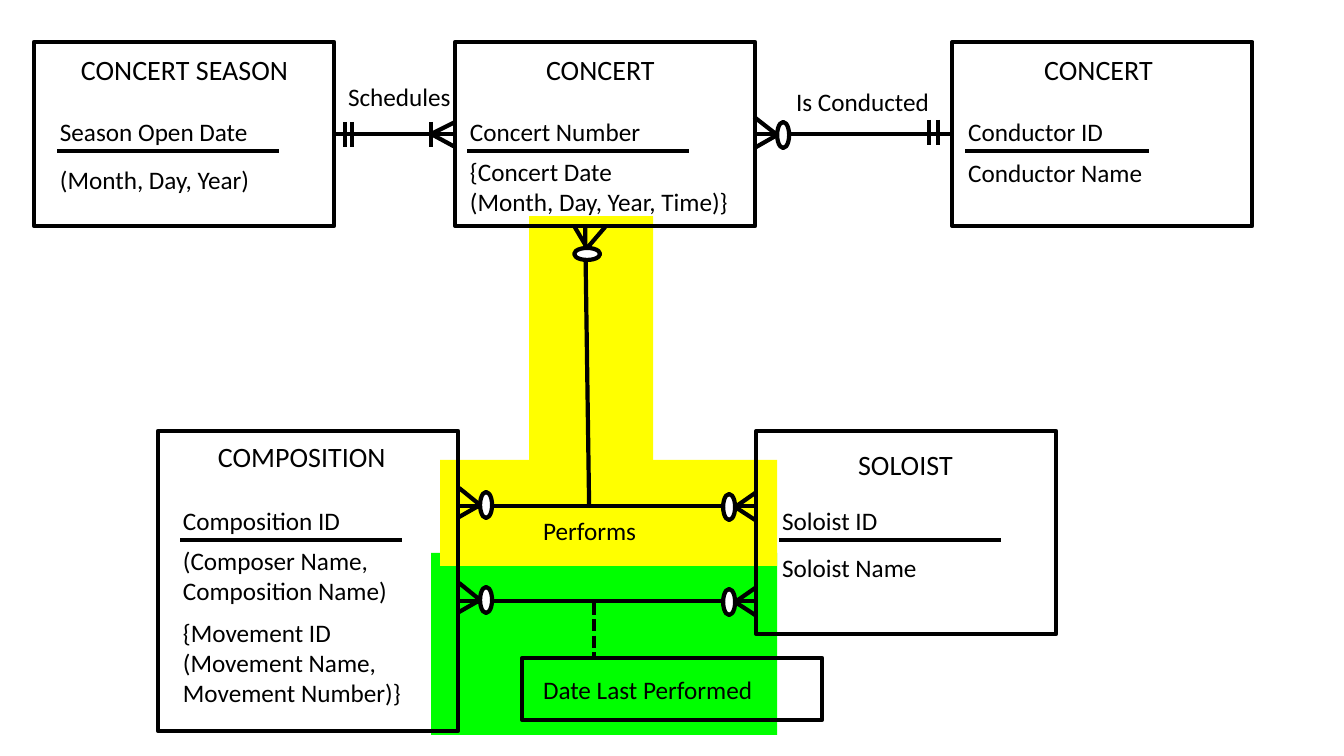
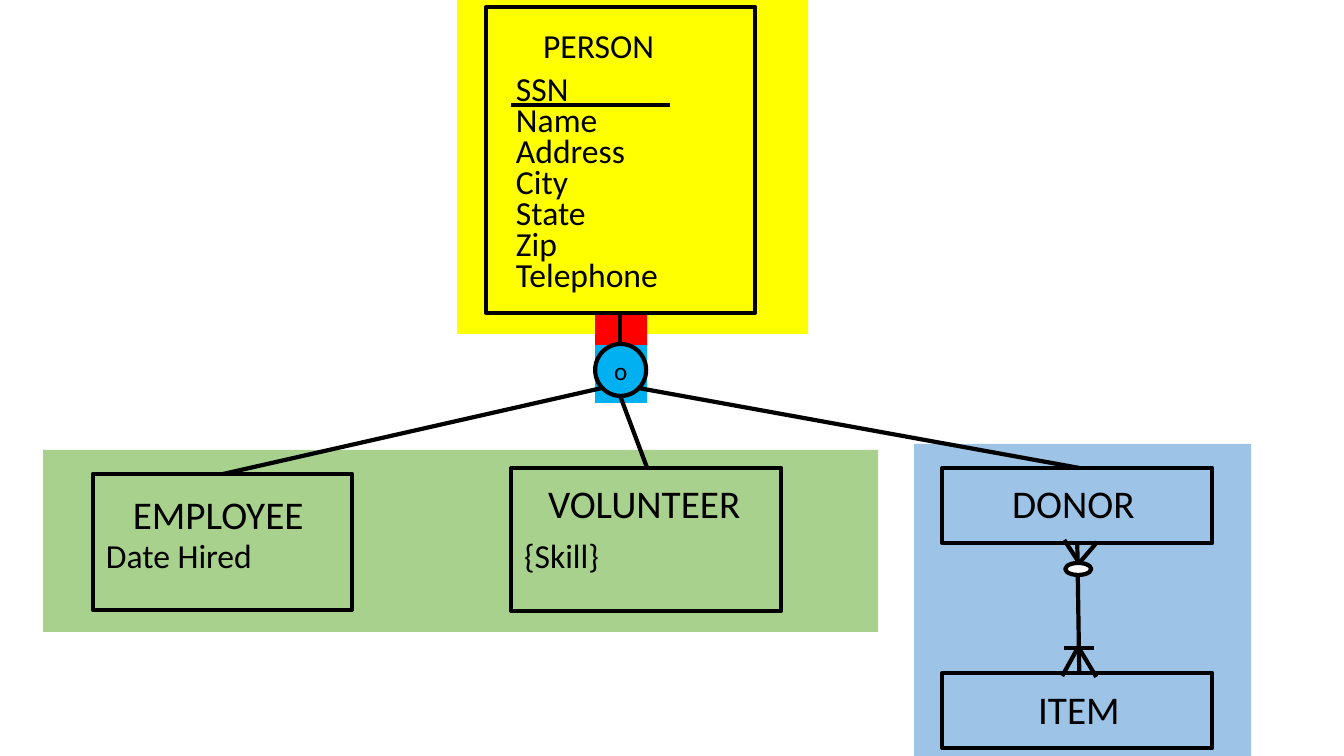
from lxml.etree import SubElement
from pptx import Presentation
from pptx.dml.color import RGBColor
from pptx.enum.dml import MSO_LINE
from pptx.enum.shapes import MSO_CONNECTOR, MSO_SHAPE
from pptx.enum.text import MSO_ANCHOR, MSO_AUTO_SIZE, PP_ALIGN
from pptx.oxml.ns import qn
from pptx.util import Inches, Pt

PIXELS_PER_INCH = 100.8
PIXELS_PER_POINT = PIXELS_PER_INCH / 72
INK, PAPER = "000000", "FFFFFF"
YELLOW, LIME, RED, SKY = "FFFF00", "00FF00", "FF0000", "00B0F0"
SAGE, PALE_BLUE = "A9D18E", "9DC3E6"


def px(length):
    """Turn picture pixels into EMU."""
    return Inches(length / PIXELS_PER_INCH)


def color(code):
    """Turn a hex string into a colour."""
    return RGBColor.from_string(code)


class Diagram:
    """Hold the diagram style and the current slide."""

    font = "Calibri"
    stroke = 3
    key_stroke = 2.5

    def __init__(self):
        """Open an empty widescreen deck."""
        self.deck = Presentation()
        self.deck.slide_width, self.deck.slide_height = Inches(13.33), Inches(7.5)
        self.slide = None

    def new_slide(self):
        """Start a blank slide."""
        self.slide = self.deck.slides.add_slide(self.deck.slide_layouts[6])

    def outline(self, preset, x, y, width, height, fill=None, line=INK):
        """Draw a preset shape with an optional fill and line."""
        shape = self.slide.shapes.add_shape(preset, px(x), px(y), px(width), px(height))
        shape.shadow.inherit = False
        if fill:
            shape.fill.solid()
            shape.fill.fore_color.rgb = color(fill)
        else:
            shape.fill.background()
        if line:
            shape.line.color.rgb = color(line)
            shape.line.width = Pt(self.stroke)
        else:
            shape.line.fill.background()
        return shape

    def highlight(self, fill, x, y, width, height):
        """Draw a coloured area behind the diagram."""
        self.outline(MSO_SHAPE.RECTANGLE, x, y, width, height, fill, None)

    def box(self, x, y, width, height):
        """Draw an empty entity frame."""
        self.outline(MSO_SHAPE.RECTANGLE, x, y, width, height)

    def ring(self, x, y, width=12, height=26):
        """Draw the zero mark of a relationship."""
        self.outline(MSO_SHAPE.OVAL, x, y, width, height, PAPER)

    def add_words(self, paragraph, words, size):
        """Add one styled run to a paragraph."""
        run = paragraph.add_run()
        run.text = words
        run.font.size = Pt(size)
        run.font.name = self.font
        run.font.color.rgb = color(INK)

    def subtype_circle(self, letter, x, y, width, height):
        """Draw a circle with a centred subtype rule letter."""
        circle = self.outline(MSO_SHAPE.OVAL, x, y, width, height)
        frame = circle.text_frame
        frame.vertical_anchor = MSO_ANCHOR.MIDDLE
        frame.paragraphs[0].alignment = PP_ALIGN.CENTER
        self.add_words(frame.paragraphs[0], letter, 18)

    def text(self, words, x, y, width=229, size=18):
        """Set left-aligned lines in a fitted text box."""
        lines = words.split("\n")
        height = (len(lines) * size * 1.2 + 7.2) * PIXELS_PER_POINT
        holder = self.slide.shapes.add_textbox(px(x), px(y), px(width), px(height))
        frame = holder.text_frame
        frame.word_wrap = True
        frame.auto_size = MSO_AUTO_SIZE.SHAPE_TO_FIT_TEXT
        for index, line in enumerate(lines):
            paragraph = frame.add_paragraph() if index else frame.paragraphs[0]
            self.add_words(paragraph, line, size)

    def line(self, start, end, weight=None, dashed=False):
        """Draw a straight line between two points."""
        link = self.slide.shapes.add_connector(
            MSO_CONNECTOR.STRAIGHT, *map(px, (*start, *end)))
        link.line.color.rgb = color(INK)
        link.line.width = Pt(weight or self.stroke)
        if dashed:
            link.line.dash_style = MSO_LINE.SQUARE_DOT
        SubElement(link.element.spPr, qn("a:effectLst"))

    def ticks(self, top, *places):
        """Draw upright cardinality marks."""
        for x in places:
            self.line((x, top), (x, top + 25))

    def crow_foot(self, tip, *toes):
        """Draw the spread lines of a many mark."""
        for toe in toes:
            self.line(tip, toe)

    def entity(self, name, frame, name_x, name_y, name_width, size=20):
        """Draw a frame with the entity name in it."""
        self.box(*frame)
        self.text(name, name_x, name_y, name_width, size)

    def key(self, words, x, y, length=222):
        """Set an identifier with a rule under it."""
        self.text(words, x, y)
        self.line((x + 7, y + 40), (x + 7 + length, y + 40), self.key_stroke)


def concert_slide(diagram):
    """Build the concert season diagram."""
    diagram.new_slide()
    diagram.highlight(LIME, 431, 553, 346, 182)
    diagram.highlight(YELLOW, 440, 460, 337, 106)
    diagram.highlight(YELLOW, 529, 216, 124, 326)

    for name, frame, name_place in (
        ("CONCERT SEASON", (34, 42, 300, 184), (71, 48, 238)),
        ("CONCERT", (455, 42, 300, 184), (536, 48, 136)),
        ("CONCERT", (952, 42, 300, 184), (1034, 48, 136)),
        ("COMPOSITION", (158, 431, 300, 300), (208, 435, 200)),
        ("SOLOIST", (756, 431, 300, 203), (848, 443, 115)),
    ):
        diagram.entity(name, frame, *name_place)

    diagram.key("Season Open Date", 50, 111)
    diagram.key("Concert Number", 460, 111)
    diagram.key("Conductor ID", 958, 111, 184)
    diagram.key("Composition ID", 173, 500)
    diagram.key("Soloist ID", 772, 500)

    for words, *place in (
        ("(Month, Day, Year)", 50, 159),
        ("{Concert Date\n(Month, Day, Year, Time)}", 460, 151, 289),
        ("Conductor Name", 958, 152),
        ("(Composer Name,\nComposition Name)", 173, 540),
        ("{Movement ID\n(Movement Name,\nMovement Number)}", 173, 612, 267),
        ("Soloist Name", 772, 547),
        ("Schedules", 338, 76, 139),
        ("Is Conducted", 786, 81, 163),
        ("Performs", 533, 510, 139),
    ):
        diagram.text(words, *place)

    diagram.line((335, 134), (455, 134))
    diagram.ticks(122, 345, 352, 431)
    diagram.crow_foot((431, 134), (455, 122), (455, 147))

    diagram.line((755, 134), (952, 134))
    diagram.ticks(120, 929, 938)
    diagram.ring(777, 122)
    diagram.crow_foot((777, 135), (754, 117), (756, 147))

    diagram.line((585, 227), (589, 506))
    diagram.ring(574, 248, 26, 12)
    diagram.crow_foot((587, 248), (574, 226), (605, 227))

    for drop in (0, 95):
        diagram.line((457, 506 + drop), (757, 506 + drop))
        diagram.ring(480, 492 + drop)
        diagram.ring(723, 494 + drop)
        diagram.crow_foot((480, 505 + drop), (459, 488 + drop), (459, 517 + drop))
        diagram.crow_foot((735, 507 + drop), (755, 493 + drop), (755, 520 + drop))

    diagram.line((594, 602), (594, 656), dashed=True)
    diagram.box(522, 658, 300, 62)
    diagram.text("Date Last Performed", 533, 669, 250)


def person_slide(diagram):
    """Build the person subtype diagram."""
    diagram.new_slide()
    diagram.highlight(SKY, 595, 342, 52, 61)
    diagram.highlight(YELLOW, 457, -15, 351, 349)
    diagram.highlight(RED, 595, 312, 52, 33)
    diagram.highlight(PALE_BLUE, 914, 444, 337, 312)
    diagram.highlight(SAGE, 43, 450, 835, 182)

    diagram.entity("PERSON", (486, 7, 269, 306), 533, 20, 174, 24)
    attributes = ("SSN", "Name", "Address", "City", "State", "Zip", "Telephone")
    for row, attribute in enumerate(attributes):
        diagram.text(attribute, 506, 63 + 31 * row, 249, 24)
    diagram.line((511, 105), (670, 105), diagram.key_stroke)

    for name, frame, name_place in (
        ("EMPLOYEE", (93, 474, 259, 136), (123, 485, 199)),
        ("VOLUNTEER", (511, 468, 270, 143), (538, 474, 218)),
        ("DONOR", (942, 468, 270, 75), (1002, 474, 177)),
        ("ITEM", (942, 673, 270, 75), (1028, 680, 125)),
    ):
        diagram.entity(name, frame, *name_place, size=28)
    diagram.text("Date Hired", 96, 530, 185, 24)
    diagram.text("{Skill}", 514, 530, 185, 24)

    diagram.line((620, 312), (620, 344))
    diagram.subtype_circle("o", 595, 344, 51, 52)
    diagram.line((602, 388), (223, 474))
    diagram.line((620, 396), (647, 468))
    diagram.line((638, 388), (1079, 468))

    diagram.line((1077, 542), (1079, 673))
    diagram.ring(1065, 563, 26, 12)
    diagram.crow_foot((1079, 563), (1064, 540), (1097, 542))
    diagram.crow_foot((1078, 647), (1062, 676), (1096, 677))
    diagram.line((1064, 648), (1094, 648))


diagram = Diagram()
concert_slide(diagram)
person_slide(diagram)
diagram.deck.save("out.pptx")
